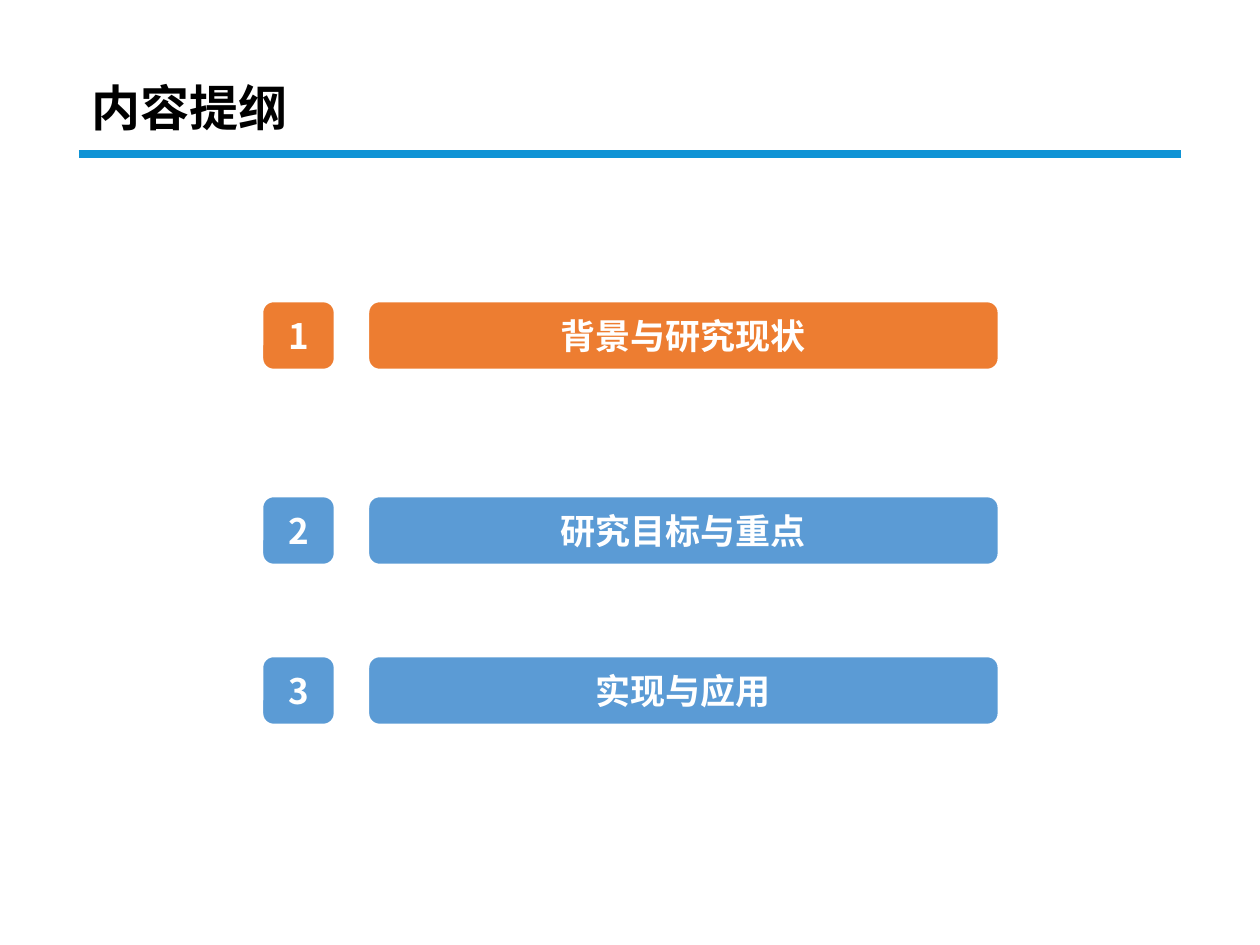
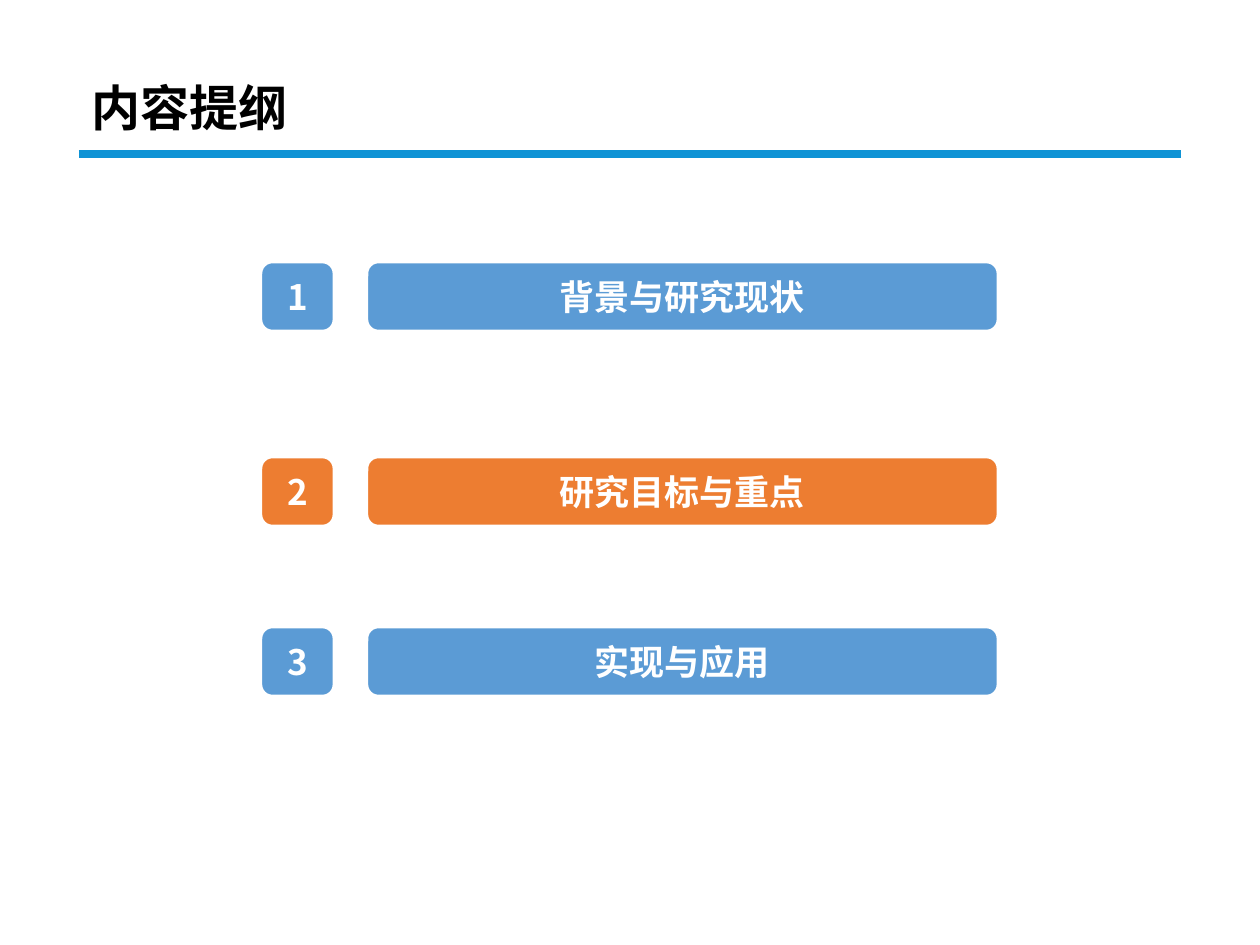
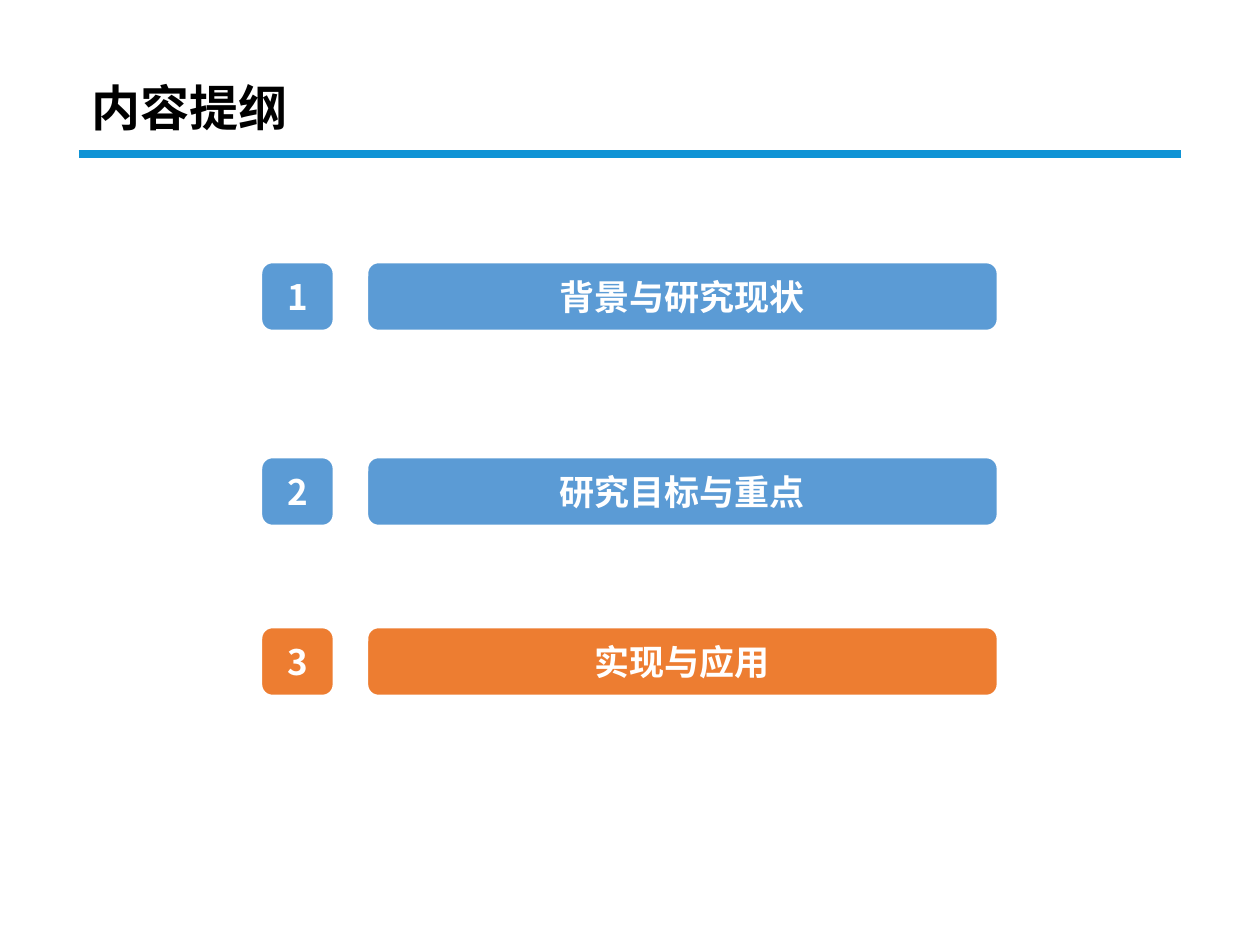
from lxml.etree import SubElement
from pptx import Presentation
from pptx.dml.color import RGBColor
from pptx.enum.shapes import MSO_CONNECTOR as Connector, MSO_SHAPE as Preset
from pptx.enum.text import MSO_ANCHOR as Anchor, PP_ALIGN as Align
from pptx.oxml.ns import qn
from pptx.util import Pt

BLACK = RGBColor(0x00, 0x00, 0x00)
WHITE = RGBColor(0xFF, 0xFF, 0xFF)
RULE_BLUE = RGBColor(0x0F, 0x93, 0xD5)
IDLE_BLUE = RGBColor(0x5B, 0x9B, 0xD5)
ACTIVE_ORANGE = RGBColor(0xED, 0x7D, 0x31)

FONT = "Noto Sans CJK SC"
HEADING_FORMAT = {"name": FONT, "size": Pt(28), "bold": True}
LABEL_FORMAT = {"name": FONT, "size": Pt(20), "bold": True}

TOPICS = ["背景与研究现状", "研究目标与重点", "实现与应用"]
AGENDAS = [
    (262, [301, 496, 656]),
    (261, [262, 457, 627]),
    (261, [262, 457, 627]),
]
NUMBER_WIDTH, TOPIC_OFFSET, TOPIC_WIDTH, ROW_HEIGHT = 73, 106, 631, 69


def px(*lengths):
    return [round(length * 914400 / 126) for length in lengths]


def write(frame, text, align, color, formats):
    frame.vertical_anchor = Anchor.MIDDLE
    frame.word_wrap = True
    paragraph = frame.paragraphs[0]
    paragraph.alignment = align
    run = paragraph.add_run()
    run.text = text
    run.font.color.rgb = color
    for attribute, value in formats.items():
        setattr(run.font, attribute, value)
    SubElement(run.font._element, qn("a:ea"), typeface=FONT)
    return paragraph


deck = Presentation()
deck.slide_width, deck.slide_height = px(1260, 945)
title_only = deck.slide_layouts[5]

for active, (left, tops) in enumerate(AGENDAS):
    slide = deck.slides.add_slide(title_only)

    rule = slide.shapes.add_connector(Connector.STRAIGHT, *px(79, 154, 1181, 154))
    rule.line.color.rgb = RULE_BLUE
    rule.line.width = Pt(4.5)
    SubElement(rule.element.spPr, qn("a:effectLst"))

    heading = slide.shapes.title
    heading.left, heading.top, heading.width, heading.height = px(79, 71, 1086, 79)
    line = write(heading.text_frame, "内容提纲", Align.LEFT, BLACK, HEADING_FORMAT)
    line.line_spacing = 0.9

    for index, (topic, top) in enumerate(zip(TOPICS, tops)):
        row = slide.shapes.add_group_shape()
        parts = [
            (topic, left + TOPIC_OFFSET, TOPIC_WIDTH),
            (str(index + 1), left, NUMBER_WIDTH),
        ]
        for label, start, width in parts:
            tile = row.shapes.add_shape(
                Preset.ROUNDED_RECTANGLE, *px(start, top, width, ROW_HEIGHT)
            )
            tile.shadow.inherit = False
            tile.fill.solid()
            tile.fill.fore_color.rgb = ACTIVE_ORANGE if index == active else IDLE_BLUE
            tile.line.color.rgb = WHITE
            tile.line.width = Pt(1.5)
            write(tile.text_frame, label, Align.CENTER, WHITE, LABEL_FORMAT)

deck.save("out.pptx")
